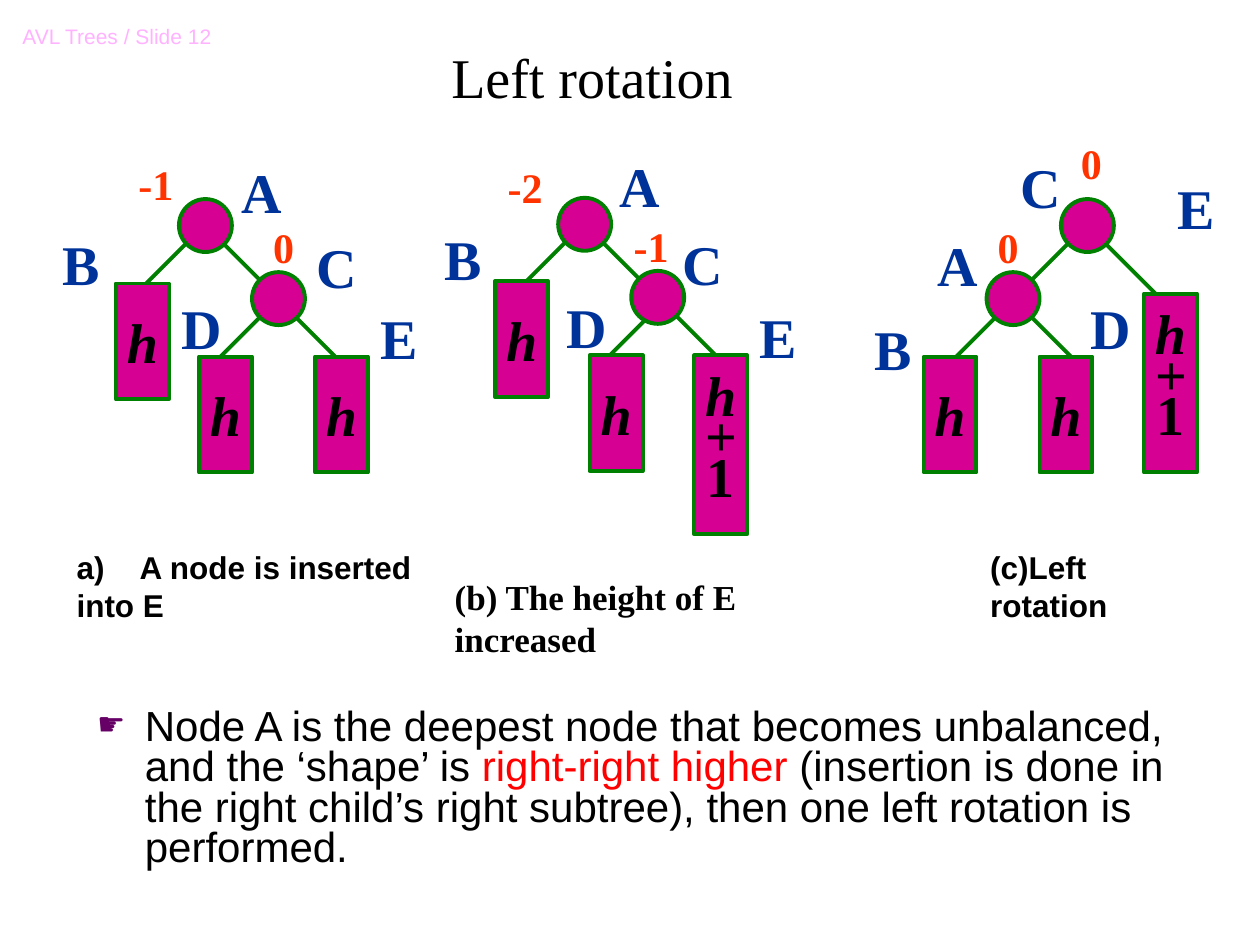
from dataclasses import dataclass
from lxml.etree import SubElement
from pptx import Presentation
from pptx.dml.color import RGBColor
from pptx.enum.shapes import MSO_CONNECTOR, MSO_SHAPE
from pptx.enum.text import MSO_ANCHOR, MSO_AUTO_SIZE, PP_ALIGN
from pptx.oxml.ns import qn
from pptx.util import Inches, Pt


@dataclass(frozen=True)
class Theme:
    black: str = "000000"
    pink: str = "D60093"
    green: str = "008000"
    blue: str = "003399"
    orange: str = "FF3300"
    red: str = "FF0000"
    plum: str = "660066"
    pale: str = "FFB3FF"
    serif: str = "Times New Roman"
    sans: str = "Arial"
    large: int = 32
    medium: int = 24
    note: int = 20
    small: int = 18
    tiny: int = 12
    stroke: float = 2.25


THEME = Theme()
NODE = 0.42
SHORT, TALL = 0.92, 1.42
LEFT, RIGHT = -0.42, 0.5

TREES = [
    dict(box=(0.4, 1), nodes=[(1.02, 0.58), (1.6, 1.16)],
         edges=[(1.35, 0.91, RIGHT), (1.93, 1.5, RIGHT),
                (1.1, 0.91, LEFT), (1.68, 1.5, LEFT)],
         leaves=[(0.52, 1.25, SHORT), (1.18, 1.83, SHORT), (2.1, 1.83, SHORT)],
         names=[("A", 1.42, 0.2), ("C", 2.01, 0.8), ("E", 2.52, 1.36),
                ("B", 0, 0.77), ("D", 0.94, 1.28)],
         marks=[("-1", 0.6, 0.21), ("0", 1.67, 0.71)]),
    dict(box=(3.43, 1), nodes=[(1, 0.57), (1.58, 1.15)],
         edges=[(1.83, 1.4, RIGHT), (1.83, 1.4, LEFT),
                (1.08, 0.9, LEFT), (1.25, 0.82, RIGHT)],
         leaves=[(0.5, 1.23, SHORT), (1.25, 1.82, SHORT), (2.08, 1.82, TALL)],
         names=[("B", 0, 0.73), ("A", 1.39, 0.15), ("C", 1.89, 0.77),
                ("E", 2.5, 1.35), ("D", 0.97, 1.27)],
         marks=[("-2", 0.5, 0.23), ("-1", 1.5, 0.7)]),
    dict(box=(6.84, 1), nodes=[(1.58, 0.58), (0.99, 1.16)],
         edges=[(1.83, 0.83, RIGHT), (1.66, 0.91, LEFT),
                (1.08, 1.5, LEFT), (1.33, 1.5, RIGHT)],
         leaves=[(0.49, 1.83, SHORT), (1.41, 1.83, SHORT), (2.24, 1.33, TALL)],
         names=[("C", 1.16, 0.16), ("E", 2.41, 0.33), ("A", 0.5, 0.78),
                ("B", 0, 1.45), ("D", 1.72, 1.28)],
         marks=[("0", 1.64, 0.04), ("0", 0.98, 0.71)]),
]


def color(code):
    return RGBColor.from_string(code)


def style(run, size, face, code, bold=False, slant=False):
    font = run.font
    font.size, font.name = Pt(size), face
    font.bold, font.italic = bold, slant
    font.color.rgb = color(code)


def place(shape, left, top, width, height):
    shape.left, shape.top = Inches(left), Inches(top)
    shape.width, shape.height = Inches(width), Inches(height)


def add_text(parent, box, text, size, face, code, bold=True, wrap=False):
    frame = parent.shapes.add_textbox(*map(Inches, box)).text_frame
    frame.word_wrap = wrap
    frame.text = text
    for par in frame.paragraphs:
        for run in par.runs:
            style(run, size, face, code, bold)
    return frame


def hang(par, depth):
    props = par._p.get_or_add_pPr()
    props.set("marL", str(Inches(depth)))
    props.set("indent", str(-Inches(depth)))
    return props


def add_edge(group, left, top, run):
    line = group.shapes.add_connector(
        MSO_CONNECTOR.STRAIGHT, Inches(left), Inches(top),
        Inches(left + run), Inches(top + abs(run)))
    line.line.color.rgb = color(THEME.green)
    line.line.width = Pt(THEME.stroke)
    SubElement(line._element.spPr, qn("a:effectLst"))


def add_solid(group, kind, left, top, height):
    shape = group.shapes.add_shape(kind, *map(Inches, (left, top, NODE, height)))
    shape.shadow.inherit = False
    shape.fill.solid()
    shape.fill.fore_color.rgb = color(THEME.pink)
    shape.line.color.rgb = color(THEME.green)
    shape.line.width = Pt(THEME.stroke)
    return shape


def add_leaf(group, left, top, height):
    frame = add_solid(group, MSO_SHAPE.RECTANGLE, left, top, height).text_frame
    frame.word_wrap = False
    frame.vertical_anchor = MSO_ANCHOR.MIDDLE
    frame.text = "h\n+\n1" if height == TALL else "h"
    for par in frame.paragraphs:
        par.alignment = PP_ALIGN.CENTER
        if height == TALL:
            par.line_spacing = 0.6
        style(par.runs[0], THEME.large, THEME.serif, THEME.black,
              True, par.text != "1")


def add_tree(slide, box, nodes, edges, leaves, names, marks):
    group = slide.shapes.add_group_shape()
    x, y = box
    for left, top, run in edges:
        add_edge(group, x + left, y + top, run)
    for left, top in nodes:
        add_solid(group, MSO_SHAPE.OVAL, x + left, y + top, NODE)
    for left, top, height in leaves:
        add_leaf(group, x + left, y + top, height)
    for text, left, top in names:
        width = 0.49 if text in "BE" else 0.52
        add_text(group, (x + left, y + top, width, 0.64), text,
                 THEME.large, THEME.serif, THEME.blue)
    for text, left, top in marks:
        width = 0.36 if text == "0" else 0.48
        add_text(group, (x + left, y + top, width, 0.5), text,
                 THEME.medium, THEME.serif, THEME.orange)


def add_labels(slide, x, y):
    first = add_text(slide, (x, y, 2.86, 0.7), "A node is inserted\ninto E",
                     THEME.small, THEME.sans, THEME.black)
    for par in first.paragraphs:
        hang(par, 0.5)
    props = first.paragraphs[0]._p.pPr
    SubElement(props, qn("a:buAutoNum"), type="alphaLcParenR")
    add_text(slide, (x + 3, y + 0.22, 3.31, 0.77),
             "(b) The height of E increased",
             THEME.note, THEME.serif, THEME.black, wrap=True)
    add_text(slide, (x + 7.25, y, 1.42, 0.7), "(c)Left rotation",
             THEME.small, THEME.sans, THEME.black, wrap=True)


def add_title(slide, *box):
    title = slide.shapes.title
    place(title, *box)
    frame = title.text_frame
    frame.text = "Left rotation"
    frame.auto_size = MSO_AUTO_SIZE.NONE
    frame.vertical_anchor = MSO_ANCHOR.BOTTOM
    par = frame.paragraphs[0]
    par.alignment = PP_ALIGN.CENTER
    style(par.runs[0], THEME.large, THEME.serif, THEME.black)


def add_body(slide, *box):
    body = slide.placeholders[1]
    place(body, *box)
    frame = body.text_frame
    frame.auto_size = MSO_AUTO_SIZE.NONE
    par = frame.paragraphs[0]
    par.line_spacing, par.space_before = 0.8, Pt(0)
    props = hang(par, 0.38)
    tint = SubElement(props, qn("a:buClr"))
    SubElement(tint, qn("a:srgbClr"), val=THEME.plum)
    SubElement(props, qn("a:buSzPct"), val="75000")
    SubElement(props, qn("a:buChar"), char="☛")
    for text, code in [
        ("Node A is the deepest node that becomes unbalanced, "
         "and the ‘shape’ is ", THEME.black),
        ("right-right higher", THEME.red),
        (" (insertion is done in the right child’s right subtree), "
         "then one left rotation is performed.", THEME.black),
    ]:
        run = par.add_run()
        run.text = text
        style(run, THEME.medium, THEME.sans, code)


def main():
    deck = Presentation()
    deck.slide_width, deck.slide_height = Inches(10), Inches(7.5)
    slide = deck.slides.add_slide(deck.slide_layouts[1])
    add_text(slide, (0.08, 0.14, 2.2, 0.3), "AVL Trees / Slide 12",
             THEME.tiny, THEME.sans, THEME.pale, bold=False, wrap=True)
    add_title(slide, 0.2, 0.21, 9, 0.71)
    add_body(slide, 0.67, 5.58, 9.08, 1.45)
    for tree in TREES:
        add_tree(slide, **tree)
    add_labels(slide, 0.51, 4.3)
    deck.save("out.pptx")


if __name__ == "__main__":
    main()
